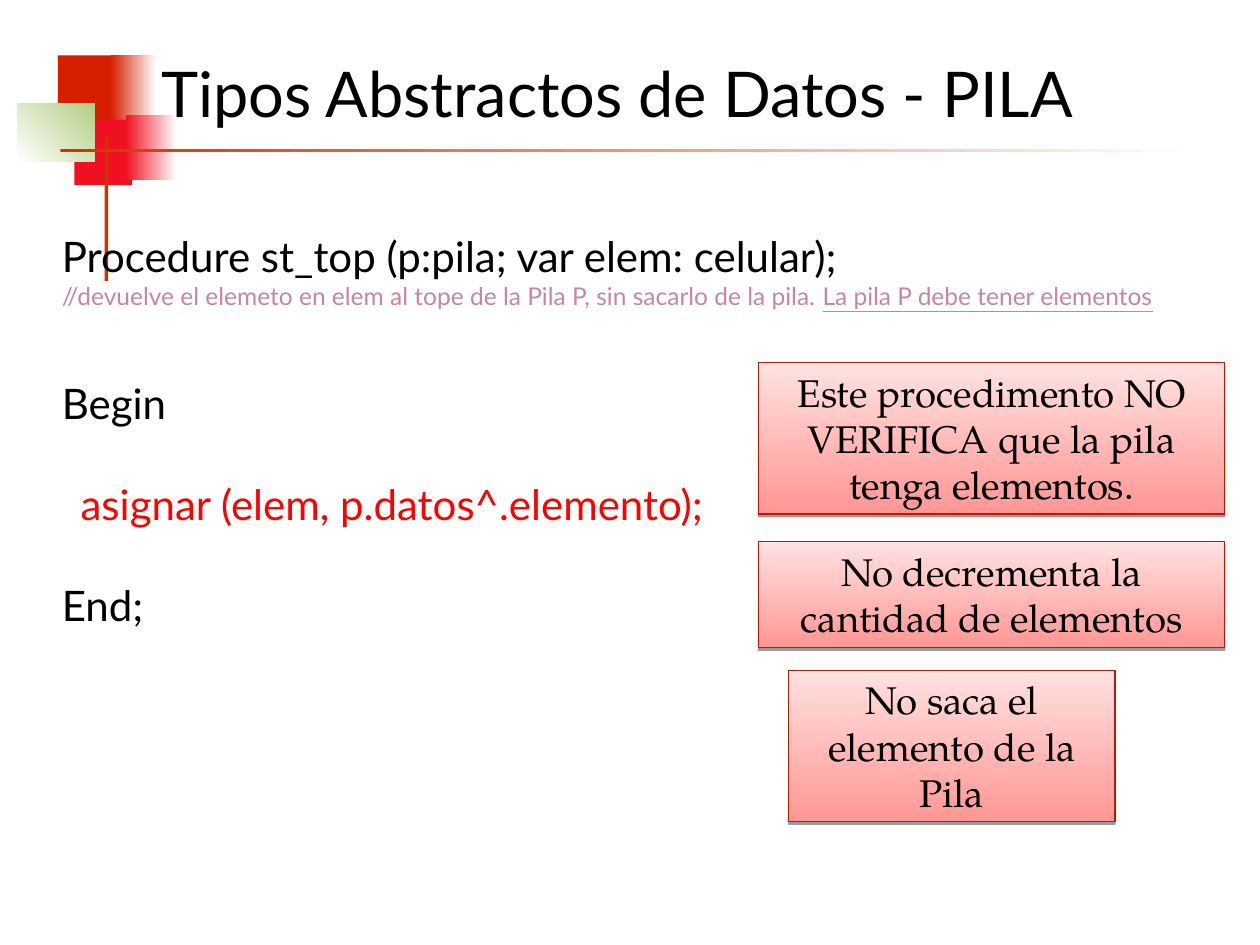
from lxml import etree
from pptx import Presentation
from pptx.dml.color import RGBColor
from pptx.enum.shapes import MSO_SHAPE
from pptx.enum.text import MSO_ANCHOR, MSO_AUTO_SIZE, PP_ALIGN
from pptx.oxml.ns import qn
from pptx.util import Inches, Pt

RECT = MSO_SHAPE.RECTANGLE
LEFT, CENTER, JUSTIFY = PP_ALIGN.LEFT, PP_ALIGN.CENTER, PP_ALIGN.JUSTIFY
TOP, BOTTOM = MSO_ANCHOR.TOP, MSO_ANCHOR.BOTTOM
NO_FIT = MSO_AUTO_SIZE.NONE

SANS, SERIF = "Lato", "TeX Gyre Pagella"
BLACK, RED, MAUVE = "000000", "FF0000", "C785A5"

TITLE = "Tipos Abstractos de Datos - PILA"
CODE = [
    (0, 0.19, 24, BLACK, [("Procedure st_top (p:pila; var elem: celular);", False)]),
    (0, 0.19, 14, MAUVE, [
        ("//devuelve el elemeto en elem al tope de la Pila P, sin sacarlo de la pila. ", False),
        ("La pila P debe tener elementos", True),
    ]),
    (38.4, 0.19, 24, BLACK, [("Begin", False)]),
    (28.8, 0.34, 24, RED, [("asignar (elem, p.datos^.elemento);", False)]),
    (28.8, 0.19, 24, BLACK, [("End;", False)]),
]
NOTES = [
    ((6.02, 2.88, 3.7, 1.2), "Este procedimento NO VERIFICA que la pila tenga elementos."),
    ((6.02, 4.3, 3.7, 0.84), "No decrementa la cantidad de elementos"),
    ((6.26, 5.32, 2.59, 1.2), "No saca el elemento de la Pila"),
]
ORNAMENTS = [
    ((0.46, 0.44, 0.48, 0.52), ["D61F00"], 0),
    ((0.88, 0.44, 0.36, 0.52), ["D61F00", "FFFFFF"], 0),
    ((0.59, 0.95, 0.46, 0.52), ["EF1121"], 0),
    ((1, 0.91, 0.4, 0.52), ["EF1121", "FFFFFF"], 0),
    ((0.14, 0.82, 0.61, 0.46), ["FFFFFF", "B3CE82"], 45),
    ((0.83, 1.08, 0.03, 1.15), ["CC3300"], 0),
    ((0.48, 1.18, 9, 0.03), ["CC3300", "FFFFFF"], 0),
]


def rgb(value):
    return RGBColor.from_string(value)


def add_rect(s, box, colors, angle):
    sp = s.shapes.add_shape(RECT, *map(Inches, box))
    sp.shadow.inherit = False
    if len(colors) == 1:
        sp.fill.solid()
        sp.fill.fore_color.rgb = rgb(colors[0])
    else:
        sp.fill.gradient()
        sp.fill.gradient_angle = angle
        for stop, color in zip(sp.fill.gradient_stops, colors):
            stop.color.rgb = rgb(color)
    sp.line.fill.background()
    return sp


def add_shadow(sp):
    effects = sp.element.spPr.find(qn("a:effectLst"))
    shadow = etree.SubElement(effects, qn("a:outerShdw"), blurRad="0",
                              dist=str(Pt(1.6)), dir="5400000", rotWithShape="0")
    color = etree.SubElement(shadow, qn("a:srgbClr"), val=BLACK)
    etree.SubElement(color, qn("a:alpha"), val="38000")


def place(sp, box):
    sp.left, sp.top, sp.width, sp.height = map(Inches, box)
    sp.element.getparent().append(sp.element)


def set_frame(tf, anchor):
    tf.word_wrap = True
    tf.auto_size = NO_FIT
    tf.vertical_anchor = anchor


def add_run(p, text, font, size, color, underline=False):
    r = p.add_run()
    r.text = text
    r.font.name = font
    r.font.size = Pt(size)
    r.font.color.rgb = rgb(color)
    if underline:
        r.font.underline = True


def add_title(s):
    sp = s.shapes.title
    place(sp, (1.18, 0.21, 7.76, 0.87))
    set_frame(sp.text_frame, BOTTOM)
    p = sp.text_frame.paragraphs[0]
    p.alignment = LEFT
    add_run(p, TITLE, SANS, 36, BLACK)


def add_code(s):
    sp = s.placeholders[1]
    place(sp, (0.2, 1.78, 9.53, 3.9))
    tf = sp.text_frame
    set_frame(tf, TOP)
    for i, (before, margin, size, color, runs) in enumerate(CODE):
        p = tf.add_paragraph() if i else tf.paragraphs[0]
        p.alignment = JUSTIFY
        p.space_before = Pt(before)
        pPr = p._p.get_or_add_pPr()
        pPr.set("marL", str(Inches(margin)))
        pPr.set("indent", "0")
        etree.SubElement(pPr, qn("a:buNone"))
        for text, underline in runs:
            add_run(p, text, SANS, size, color, underline)


def add_note(s, box, text):
    sp = add_rect(s, box, ["FF9794", "FFE2E1"], 90)
    sp.line.color.rgb = rgb("C21700")
    sp.line.width = Pt(0.75)
    add_shadow(sp)
    set_frame(sp.text_frame, TOP)
    p = sp.text_frame.paragraphs[0]
    p.alignment = CENTER
    add_run(p, text, SERIF, 22, BLACK)


def main():
    prs = Presentation()
    prs.slide_width, prs.slide_height = Inches(10), Inches(7.5)
    s = prs.slides.add_slide(prs.slide_layouts[1])
    for box, colors, angle in ORNAMENTS:
        add_rect(s, box, colors, angle)
    add_title(s)
    add_code(s)
    for box, text in NOTES:
        add_note(s, box, text)
    prs.save("out.pptx")


if __name__ == "__main__":
    main()
